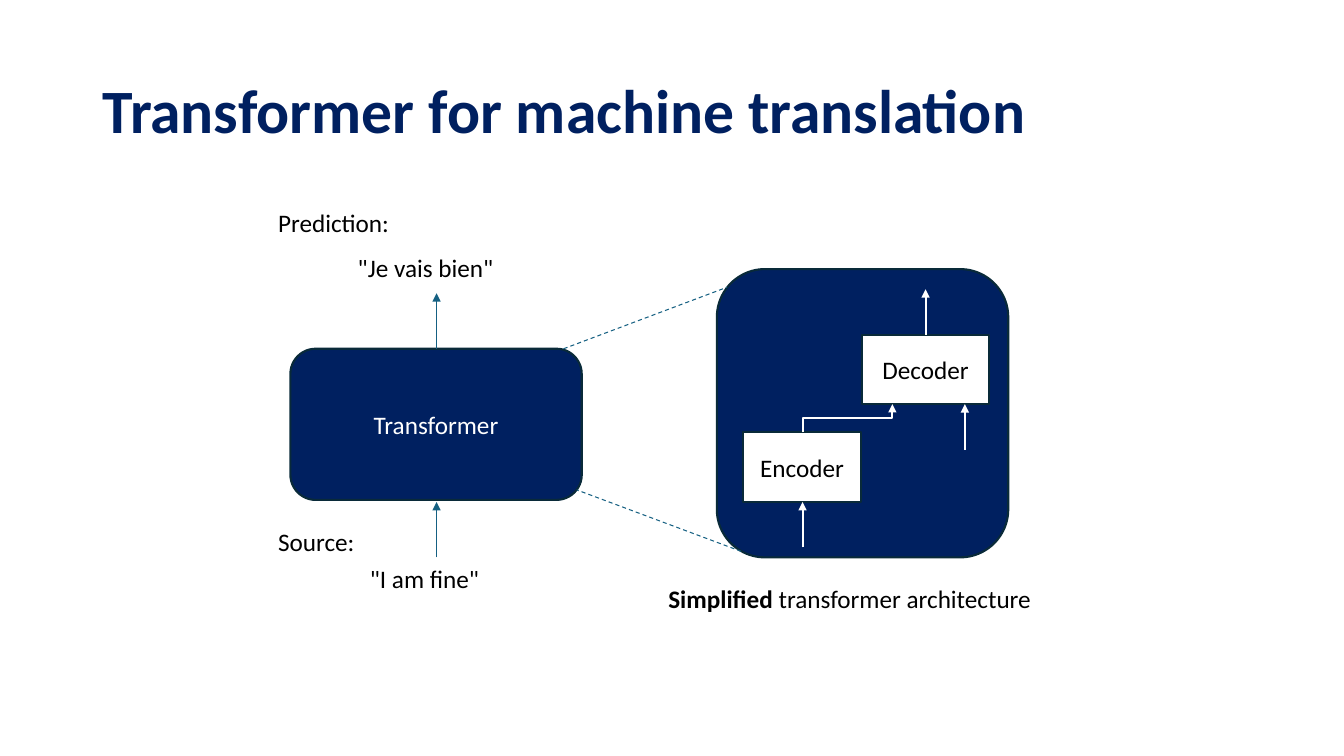
"""Builds a slide on the transformer architecture for machine translation."""
import lxml.etree
import pptx
import pptx.dml.color
import pptx.enum.dml
import pptx.enum.shapes
import pptx.enum.text
import pptx.oxml.ns
import pptx.util
from pptx.util import Inches

SHAPE = pptx.enum.shapes.MSO_SHAPE
CONNECTOR = pptx.enum.shapes.MSO_CONNECTOR
ANCHOR = pptx.enum.text.MSO_ANCHOR
ALIGN = pptx.enum.text.PP_ALIGN

THEME = {
    "font": "Calibri", "title_size": 44, "body_size": 18,
    "navy": "002060", "edge": "092A39", "teal": "156082",
    "white": "FFFFFF", "black": "000000",
    "edge_width": 1.5, "flow_width": 1, "zoom_width": 0.75,
}

TITLE = ("Transformer for machine translation", (0.92, 0.4, 11.5, 1.45))
LABELS = [
    ([("Prediction:", False)], (2.66, 2.01, 1.54, 0.4)),
    ([("\"Je vais bien\"", False)], (3.45, 2.45, 1.93, 0.4)),
    ([("Source:", False)], (2.66, 5.17, 1.54, 0.4)),
    ([("\"I am fine\"", False)], (3.57, 5.54, 1.45, 0.4)),
    ([("Simplified", True), (" transformer architecture", False)], (6.53, 5.74, 4.33, 0.4)),
]
TRANSFORMER = (2.88, 3.46, 2.89, 1.5)
ARCHITECTURE = (7.11, 2.67, 2.89, 2.86)
ENCODER = (7.37, 4.29, 1.17, 0.69)
DECODER = (8.55, 3.32, 1.26, 0.69)
BLOCKS = [
    ("Transformer", TRANSFORMER, SHAPE.ROUNDED_RECTANGLE, "navy", "white"),
    ("", ARCHITECTURE, SHAPE.ROUNDED_RECTANGLE, "navy", "white"),
    ("Encoder", ENCODER, SHAPE.RECTANGLE, "white", "black"),
    ("Decoder", DECODER, SHAPE.RECTANGLE, "white", "black"),
]
ZOOM_LINES = [((5.59, 3.46), (7.21, 2.85)), ((7.35, 5.47), (5.72, 4.86))]
CROSS_INPUT_X, TARGET_INPUT_X = 8.85, 9.57
FLOW_LENGTH, INNER_LENGTH = 0.55, 0.45


def color(name):
    return pptx.dml.color.RGBColor.from_string(THEME[name])


def top_middle(box):
    return round(box[0] + box[2] / 2, 2), box[1]


def bottom(box):
    return round(box[1] + box[3], 2)


def write(frame, runs, size, ink, **layout):
    """Fills a frame with one paragraph of (text, bold) runs."""
    for name, value in {"word_wrap": True, **layout}.items():
        setattr(frame, name, value)
    for text, bold in runs:
        run = frame.paragraphs[0].add_run()
        run.text = text
        font_format = {"name": THEME["font"], "size": pptx.util.Pt(THEME[size]), "bold": bold}
        for name, value in font_format.items():
            setattr(run.font, name, value)
        run.font.color.rgb = color(ink)
    return frame.paragraphs[0]


def add_label(slide, runs, box, size="body_size", ink="black", **layout):
    frame = slide.shapes.add_textbox(*map(Inches, box)).text_frame
    return write(frame, runs, size, ink, **layout)


def add_block(slide, text, box, outline, fill, ink):
    block = slide.shapes.add_shape(outline, *map(Inches, box))
    block.shadow.inherit = False
    block.fill.solid()
    block.fill.fore_color.rgb = color(fill)
    block.line.color.rgb = color("edge")
    block.line.width = pptx.util.Pt(THEME["edge_width"])
    if text:
        paragraph = write(block.text_frame, [(text, False)], "body_size", ink,
                          vertical_anchor=ANCHOR.MIDDLE)
        paragraph.alignment = ALIGN.CENTER


def add_line(slide, start, end, ink, width, kind=CONNECTOR.STRAIGHT, arrow=True):
    line = slide.shapes.add_connector(kind, *map(Inches, (*start, *end)))
    line.line.color.rgb = color(ink)
    line.line.width = pptx.util.Pt(THEME[width])
    qn = pptx.oxml.ns.qn
    if arrow:
        lxml.etree.SubElement(line.line._get_or_add_ln(), qn("a:tailEnd"), type="triangle")
    else:
        line.line.dash_style = pptx.enum.dml.MSO_LINE.DASH
    lxml.etree.SubElement(line._element.spPr, qn("a:effectLst"))
    return line


def add_upright_elbow(slide, start, end, ink, width):
    """Draws an elbow that leaves and arrives vertically, by a quarter turn."""
    middle_x, middle_y = (start[0] + end[0]) / 2, (start[1] + end[1]) / 2
    turned = [(middle_x + y - middle_y, middle_y - x + middle_x) for x, y in (start, end)]
    elbow = add_line(slide, *turned, ink, width, kind=CONNECTOR.ELBOW)
    elbow._element.spPr.find(pptx.oxml.ns.qn("a:xfrm")).set("rot", str(90 * 60000))


def main():
    deck = pptx.Presentation()
    deck.slide_width, deck.slide_height = Inches(13.33), Inches(7.5)
    slide = deck.slides.add_slide(deck.slide_layouts[6])

    title, title_box = TITLE
    heading = add_label(slide, [(title, True)], title_box, "title_size", "navy",
                        vertical_anchor=ANCHOR.MIDDLE)
    heading.line_spacing = 0.9
    for runs, box in LABELS:
        add_label(slide, runs, box)
    for block in BLOCKS:
        add_block(slide, *block)

    center_x, encoder_x, decoder_x = (
        top_middle(box)[0] for box in (TRANSFORMER, ENCODER, DECODER))
    rising_arrows = [
        (center_x, TRANSFORMER[1], FLOW_LENGTH, "teal", "flow_width"),
        (center_x, bottom(TRANSFORMER) + 0.02 + FLOW_LENGTH, FLOW_LENGTH, "teal", "flow_width"),
        (encoder_x, bottom(ENCODER) + INNER_LENGTH, INNER_LENGTH, "white", "edge_width"),
        (TARGET_INPUT_X, bottom(DECODER) + INNER_LENGTH, INNER_LENGTH, "white", "edge_width"),
        (decoder_x, DECODER[1], INNER_LENGTH, "white", "edge_width"),
    ]
    for x, y, length, ink, width in rising_arrows:
        add_line(slide, (x, y), (x, y - length), ink, width)
    add_upright_elbow(slide, top_middle(ENCODER), (CROSS_INPUT_X, bottom(DECODER)),
                      "white", "edge_width")
    for start, end in ZOOM_LINES:
        add_line(slide, start, end, "teal", "zoom_width", arrow=False)

    deck.save("out.pptx")


if __name__ == "__main__":
    main()
